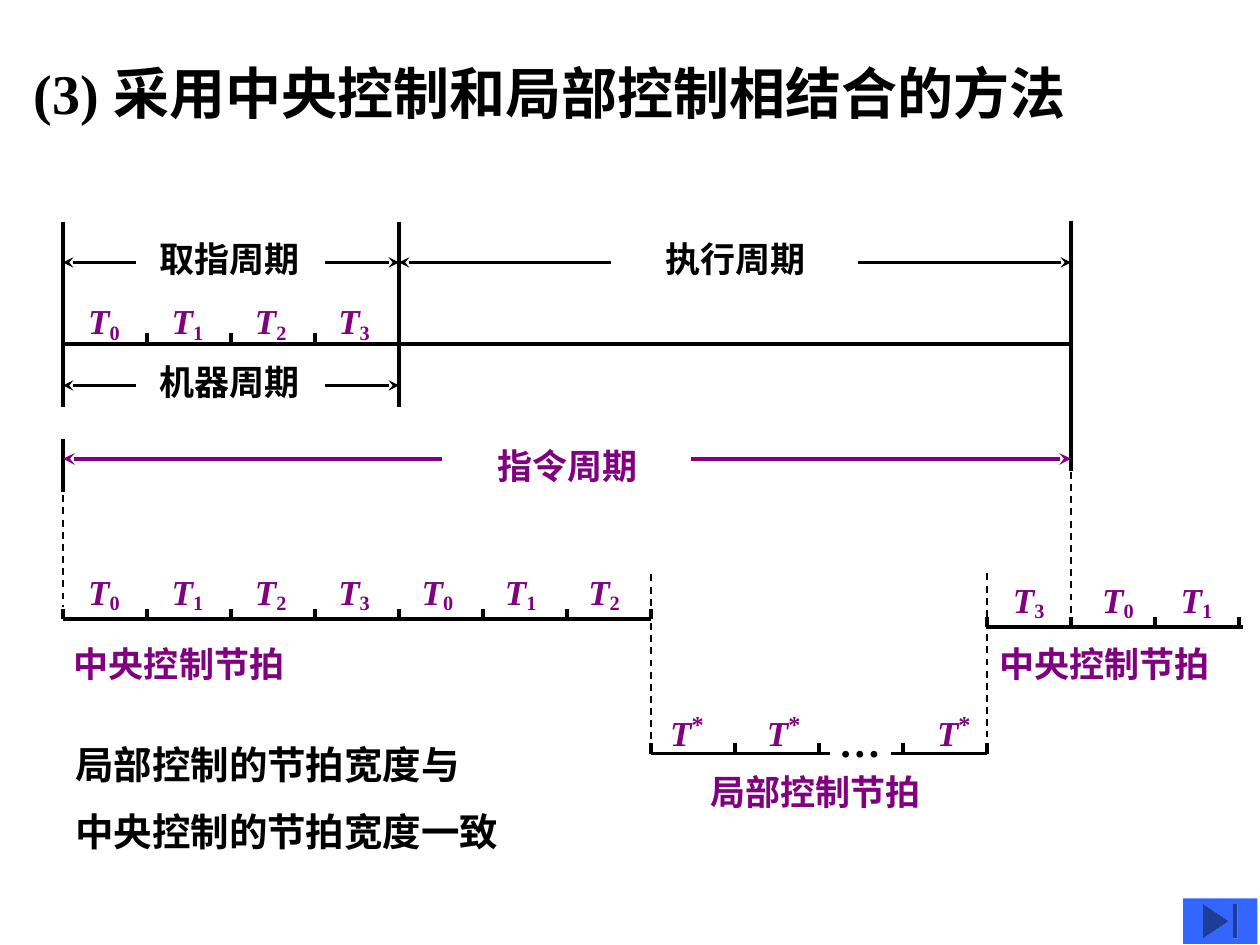
"""Build a slide showing central and local control beats on a shared time axis."""
from typing import NamedTuple

import lxml.etree
import pptx
import pptx.dml.color
import pptx.enum.dml
import pptx.enum.shapes
import pptx.oxml.ns
import pptx.util

Cm, Pt = pptx.util.Cm, pptx.util.Pt
BLACK, PURPLE, BLUE = "000000", "800080", "3366FF"
FONT = "Times New Roman"
LEFT, STEP = 1.27, 20.32 / 12
TICK = 0.21


class Line(NamedTuple):
    x1: float
    y1: float
    x2: float
    y2: float
    color: str = BLACK
    width: float = 2.25
    dash: bool = False
    arrow: bool = False


class Label(NamedTuple):
    text: str
    x: float
    y: float
    w: float
    h: float = 1.09
    color: str = PURPLE
    size: float = 20
    wrap: bool = False


class Beat(NamedTuple):
    mark: str
    x: float
    y: float


class Scale(NamedTuple):
    y: float
    spans: list[tuple[float, float]]
    ticks: list[int]


def beat_x(n: float) -> float:
    return LEFT + n * STEP


def rgb(code: str) -> pptx.dml.color.RGBColor:
    return pptx.dml.color.RGBColor.from_string(code)


def add_xml(node, tag: str, **attrs: str) -> None:
    lxml.etree.SubElement(node, pptx.oxml.ns.qn(tag), **attrs)


def draw_line(slide, item: Line) -> None:
    kind = pptx.enum.shapes.MSO_CONNECTOR.STRAIGHT
    ends = map(Cm, (item.x1, item.y1, item.x2, item.y2))
    line = slide.shapes.add_connector(kind, *ends)
    line.line.color.rgb = rgb(item.color)
    line.line.width = Pt(item.width)
    if item.dash:
        line.line.dash_style = pptx.enum.dml.MSO_LINE.DASH
    if item.arrow:
        add_xml(line.line._get_or_add_ln(), "a:tailEnd", type="stealth")
    add_xml(line._element.spPr, "a:effectLst")


def style(run, size: float, color: str) -> None:
    font = run.font
    font.name, font.size, font.bold = FONT, Pt(size), True
    font.color.rgb = rgb(color)


def draw_label(slide, item: Label) -> None:
    place = map(Cm, (item.x, item.y, item.w, item.h))
    frame = slide.shapes.add_textbox(*place).text_frame
    frame.word_wrap = item.wrap
    frame.text = item.text
    for para in frame.paragraphs:
        style(para.runs[0], item.size, item.color)
    for para in frame.paragraphs[1:]:
        para.space_before = Pt(12)


def draw_beat(slide, item: Beat) -> None:
    star = item.mark == "*"
    place = map(Cm, (item.x, item.y, 1.5 if star else 1.17, 1.09))
    frame = slide.shapes.add_textbox(*place).text_frame
    frame.word_wrap = False
    para = frame.paragraphs[0]
    para.text = "T"
    style(para.runs[0], 20, PURPLE)
    para.runs[0].font.italic = True
    mark = para.add_run()
    mark.text = item.mark
    style(mark, 24 if star else 20, PURPLE)
    mark._r.get_or_add_rPr().set("baseline", "30000" if star else "-15000")


def draw_scale(slide, item: Scale) -> None:
    for a, b in item.spans:
        draw_line(slide, Line(beat_x(a), item.y, beat_x(b), item.y))
    for n in item.ticks:
        draw_line(slide, Line(beat_x(n), item.y - TICK, beat_x(n), item.y))


def draw_button(slide) -> None:
    kind = pptx.enum.shapes.MSO_SHAPE.ACTION_BUTTON_END
    place = map(Cm, (23.85, 18.11, 1.5, 0.92))
    button = slide.shapes.add_shape(kind, *place)
    button.shadow.inherit = False
    button.fill.solid()
    button.fill.fore_color.rgb = rgb(BLUE)
    button.line.fill.background()


SCALES = [
    Scale(6.93, [(0, 12)], [1, 2, 3]),
    Scale(12.48, [(0, 7)], list(range(8))),
    Scale(12.64, [(11, 14.05)], [11, 12, 13, 14]),
    Scale(15.19, [(7, 9.13), (9.86, 11)], [7, 8, 9, 10, 11]),
]
DASHES = [(0, 9.25, 12.24), (7, 11.58, 14.91), (11, 11.56, 14.86), (12, 9.27, 12.42)]
BOUNDS = [(0, 4.47, 8.2), (4, 4.47, 8.2), (12, 4.45, 9.5), (0, 8.84, 9.91)]
ARROWS = [
    (2.74, 0, 5.29, BLACK, 1.5),
    (6.55, 4, 5.29, BLACK, 1.5),
    (12.32, 4, 5.29, BLACK, 1.5),
    (17.3, 12, 5.29, BLACK, 1.5),
    (2.74, 0, 7.77, BLACK, 1.5),
    (6.55, 4, 7.77, BLACK, 1.5),
    (8.92, 0, 9.25, PURPLE, 2.25),
    (13.92, 12, 9.25, PURPLE, 2.25),
]
LABELS = [
    Label("(3) 采用中央控制和局部控制相结合的方法", 0.43, 1.05, 21.36, 1.6, BLACK, 32, True),
    Label("取指周期", 2.97, 4.67, 3.33, color=BLACK),
    Label("执行周期", 13.16, 4.67, 3.33, color=BLACK),
    Label("机器周期", 2.97, 7.14, 3.33, color=BLACK),
    Label("指令周期", 9.78, 8.84, 3.33),
    Label("中央控制节拍", 1.24, 12.83, 4.76),
    Label("中央控制节拍", 19.89, 12.83, 4.76),
    Label("局部控制节拍", 14.07, 15.41, 4.76),
    Label("局部控制的节拍宽度与\n中央控制的节拍宽度一致", 1.27, 14.81, 12.5, 2.59, BLACK, 22, True),
    Label("…", 16.66, 14.29, 2.01, 1.27, BLACK, 24, True),
]
BEATS = [
    *(Beat(str(n), 1.53 + 1.68 * n, 5.92) for n in range(4)),
    *(Beat(str(n % 4), 1.53 + 1.68 * n, 11.38) for n in range(7)),
    *(Beat(m, x, 11.53) for m, x in zip("301", (20.17, 21.97, 23.55))),
    *(Beat("*", x, 14.07) for x in (13.26, 15.21, 18.64)),
]


def main() -> None:
    deck = pptx.Presentation()
    deck.slide_width, deck.slide_height = Cm(25.4), Cm(19.05)
    slide = deck.slides.add_slide(deck.slide_layouts[6])
    for n, top, end in DASHES:
        draw_line(slide, Line(beat_x(n), top, beat_x(n), end, width=1, dash=True))
    for n, top, end in BOUNDS:
        draw_line(slide, Line(beat_x(n), top, beat_x(n), end))
    for scale in SCALES:
        draw_scale(slide, scale)
    for x, n, y, color, width in ARROWS:
        draw_line(slide, Line(x, y, beat_x(n), y, color, width, arrow=True))
    for label in LABELS:
        draw_label(slide, label)
    for beat in BEATS:
        draw_beat(slide, beat)
    draw_button(slide)
    deck.save("out.pptx")


if __name__ == "__main__":
    main()
